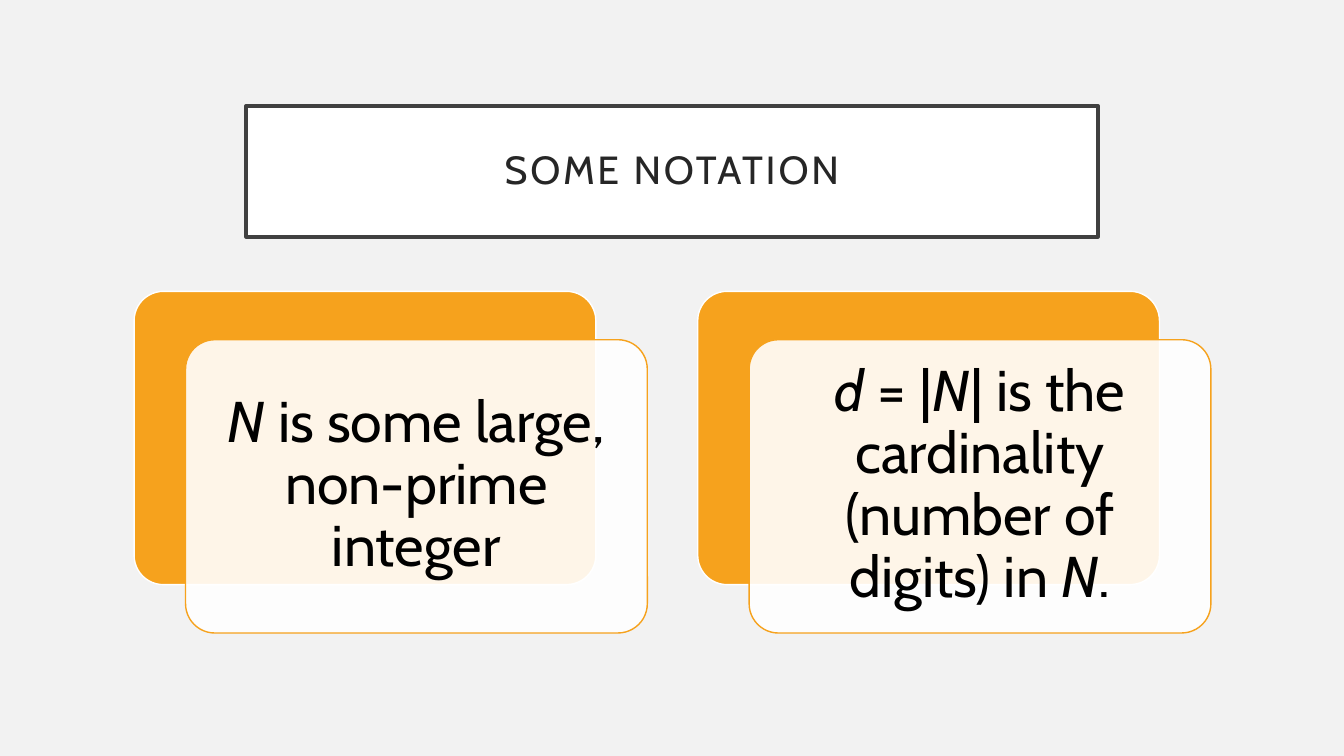
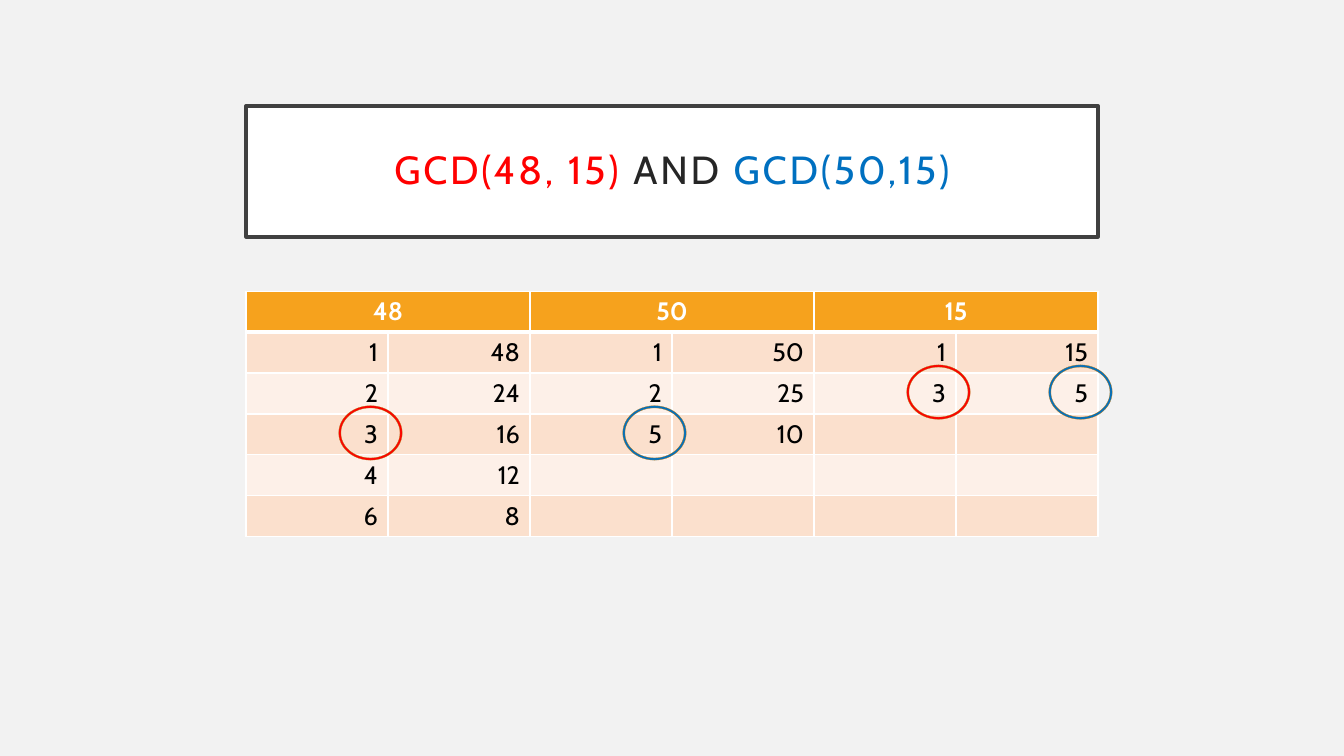
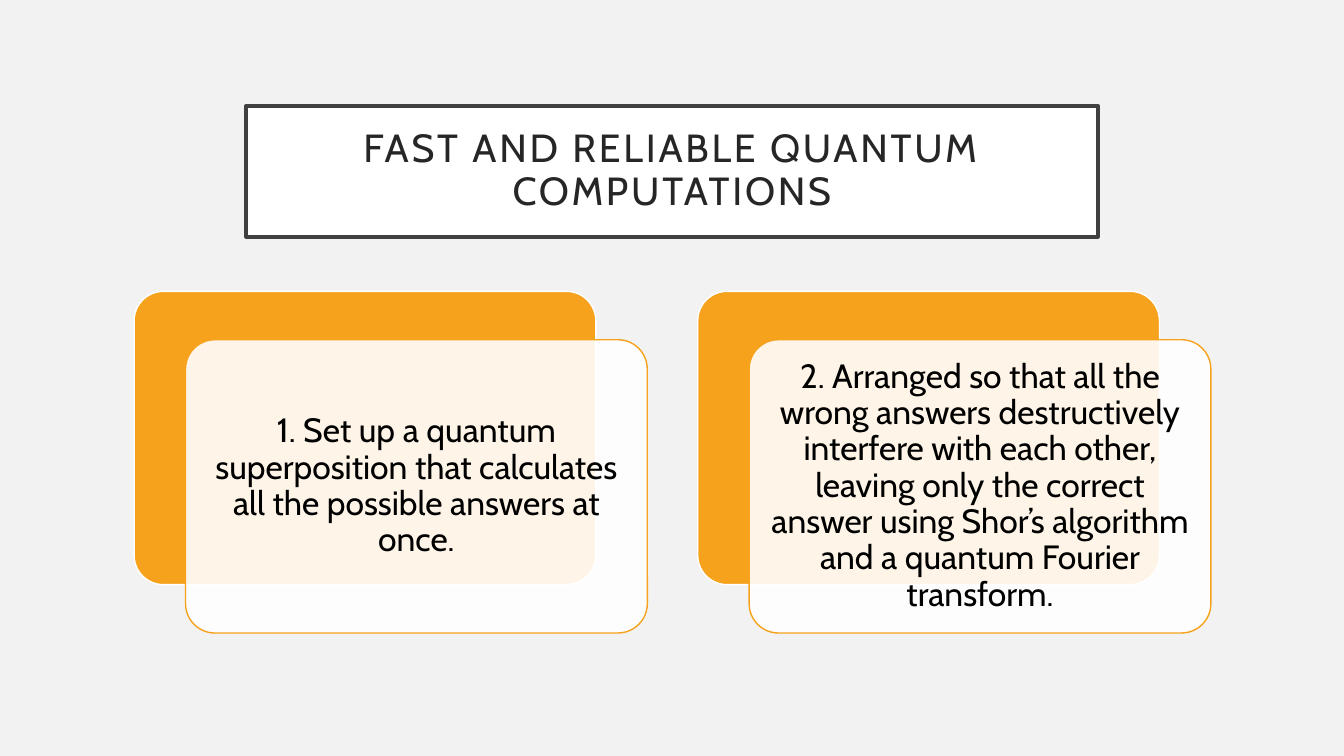
import lxml.etree
import pptx
import pptx.dml.color
import pptx.enum.shapes
import pptx.enum.text
import pptx.oxml.ns
import pptx.util

Inches = pptx.util.Inches
Pt = pptx.util.Pt
SHAPE = pptx.enum.shapes.MSO_SHAPE
ALIGN = pptx.enum.text.PP_ALIGN
qn = pptx.oxml.ns.qn

ORANGE, WHITE, BLACK, INK = "F6A21D", "FFFFFF", "000000", "262626"
RED, BLUE = "FF0000", "0070C0"
BANDS = ("FDF0E8", "FBE0CD")
LEFT, WIDTH, BODY_TOP = 2.44, 8.45, 2.89


def rgb(code):
    return pptx.dml.color.RGBColor.from_string(code)


class Deck:
    """Holds the shared style and the slide being built."""

    font = "Cabin"

    def __init__(self):
        self.show = pptx.Presentation()
        self.show.slide_width = Inches(13.33)
        self.show.slide_height = Inches(7.5)
        self.slide = None

    def start(self, *title):
        self.slide = self.show.slides.add_slide(self.show.slide_layouts[6])
        self.slide.background.fill.solid()
        self.slide.background.fill.fore_color.rgb = rgb("F2F2F2")
        banner = self.shape(SHAPE.RECTANGLE, (LEFT, 1.05, WIDTH, 1.3), WHITE, "404040", 2.5)
        self.frame(banner, 0.2)
        paragraph = banner.text_frame.paragraphs[0]
        paragraph.line_spacing = 0.9
        for words, color in title:
            run = self.run(paragraph, words, 28, color)
            run._r.get_or_add_rPr().set("spc", "200")

    def shape(self, preset, box, fill, line, weight, adjust=None):
        item = self.slide.shapes.add_shape(preset, *map(Inches, box))
        item.shadow.inherit = False
        item.fill.solid()
        item.fill.fore_color.rgb = rgb(fill)
        item.line.color.rgb = rgb(line)
        item.line.width = Pt(weight)
        if adjust is not None:
            item.adjustments[0] = adjust
        return item

    def frame(self, item, inset):
        text = item.text_frame
        text.word_wrap = True
        text.vertical_anchor = pptx.enum.text.MSO_ANCHOR.MIDDLE
        text.margin_left = text.margin_right = Inches(inset)
        text.margin_top = text.margin_bottom = Inches(inset)
        text.paragraphs[0].alignment = ALIGN.CENTER

    def run(self, paragraph, words, size, color, bold=False, italic=False):
        run = paragraph.add_run()
        run.text = words
        run.font.name = self.font
        run.font.size = Pt(size)
        run.font.color.rgb = rgb(color)
        run.font.bold = bold
        run.font.italic = italic
        return run

    def cards(self, size, inset, *statements):
        for index, statement in enumerate(statements):
            left = 1.33 + index * 5.59
            self.shape(SHAPE.ROUNDED_RECTANGLE, (left, BODY_TOP, 4.58, 2.91), ORANGE, WHITE, 1, 0.1)
            front = self.shape(SHAPE.ROUNDED_RECTANGLE, (left + 0.51, BODY_TOP + 0.48, 4.58, 2.91),
                               WHITE, ORANGE, 1, 0.1)
            color = front._element.spPr.find(qn("a:solidFill"))[0]
            lxml.etree.SubElement(color, qn("a:alpha")).set("val", "90000")
            self.frame(front, inset)
            paragraph = front.text_frame.paragraphs[0]
            paragraph.line_spacing = 0.9
            for words, italic in statement:
                self.run(paragraph, words, size, BLACK, italic=italic)

    def cell(self, cell, words, fill, color, align, bold=False, top=1, bottom=1):
        properties = cell._tc.get_or_add_tcPr()
        for side, weight in (("L", 1), ("R", 1), ("T", top), ("B", bottom)):
            border = lxml.etree.SubElement(properties, qn("a:ln" + side))
            border.set("w", str(Pt(weight)))
            paint = lxml.etree.SubElement(border, qn("a:solidFill"))
            lxml.etree.SubElement(paint, qn("a:srgbClr")).set("val", WHITE)
        cell.fill.solid()
        cell.fill.fore_color.rgb = rgb(fill)
        paragraph = cell.text_frame.paragraphs[0]
        paragraph.alignment = align
        if words:
            self.run(paragraph, words, 18, color, bold)

    def factor_table(self, factors, column_width, row_height):
        columns = 2 * len(factors)
        rows = 1 + max(len(pairs) for pairs in factors.values())
        table = self.slide.shapes.add_table(
            rows, columns, Inches(LEFT), Inches(BODY_TOP),
            Inches(column_width * columns), Inches(row_height * rows)).table
        table.first_row = table.horz_banding = False
        for column in table.columns:
            column.width = Inches(column_width)
        for row in table.rows:
            row.height = Inches(row_height)
        for group, (number, pairs) in enumerate(factors.items()):
            first = 2 * group
            table.cell(0, first).merge(table.cell(0, first + 1))
            for side in range(2):
                heading = "" if side else str(number)
                self.cell(table.cell(0, first + side), heading, ORANGE, WHITE,
                          ALIGN.CENTER, bold=True, bottom=3)
                for row in range(1, rows):
                    factor = str(pairs[row - 1][side]) if row <= len(pairs) else ""
                    self.cell(table.cell(row, first + side), factor, BANDS[row % 2], BLACK,
                              ALIGN.RIGHT, top=3 if row == 1 else 1)

    def ring(self, left, top, color):
        self.shape(SHAPE.DONUT, (left, top, 0.63, 0.54), color, "B67815", 0.2, 0.04)


def main():
    deck = Deck()

    deck.start(("SOME NOTATION", INK))
    deck.cards(
        41, 0.17,
        [("N", True), (" is some large, non-prime integer", False)],
        [("d", True), (" = |", False), ("N", True),
         ("| is the cardinality (number of digits) in ", False), ("N", True), (".", False)])

    deck.start(("GCD(48, 15)", RED), (" AND ", INK), ("GCD(50,15)", BLUE))
    column_width, row_height = WIDTH / 6, 2.43 / 6
    factors = {
        48: [(1, 48), (2, 24), (3, 16), (4, 12), (6, 8)],
        50: [(1, 50), (2, 25), (5, 10)],
        15: [(1, 15), (3, 5)],
    }
    deck.factor_table(factors, column_width, row_height)
    for column, row, color in ((0, 3, RED), (4, 2, RED), (2, 3, BLUE), (5, 2, BLUE)):
        deck.ring(LEFT + column * column_width + 0.92, BODY_TOP + row * row_height - 0.08, color)

    deck.start(("FAST AND RELIABLE QUANTUM COMPUTATIONS", INK))
    deck.cards(
        24, 0.1,
        [("1. Set up a quantum superposition that calculates all the possible answers at once.",
          False)],
        [("2. Arranged so that all the wrong answers destructively interfere with each other, "
          "leaving only the correct answer using Shor’s algorithm and a quantum Fourier transform.",
          False)])

    deck.show.save("out.pptx")


if __name__ == "__main__":
    main()
